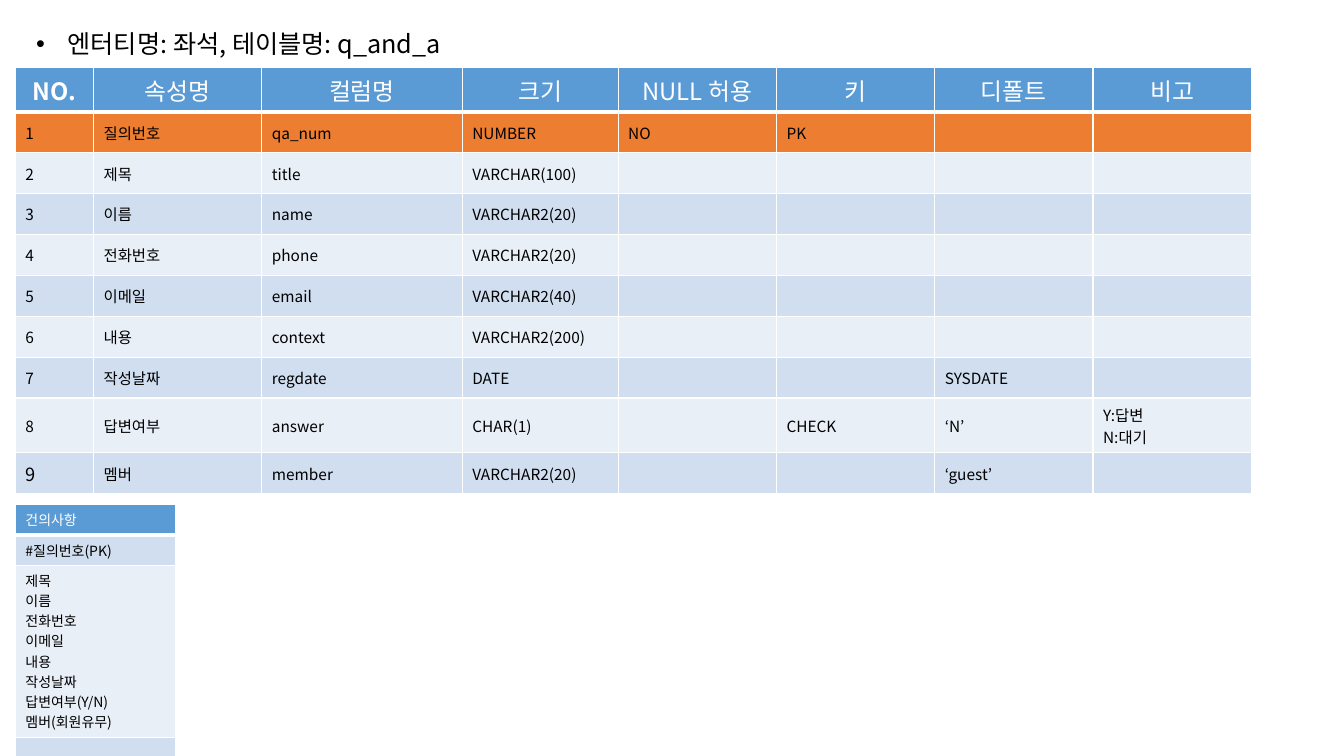
from dataclasses import dataclass

from lxml.etree import SubElement
from pptx import Presentation
from pptx.dml.color import RGBColor
from pptx.enum.text import MSO_ANCHOR, PP_ALIGN
from pptx.oxml import parse_xml
from pptx.oxml.ns import nsdecls, qn
from pptx.util import Pt


@dataclass(frozen=True)
class Theme:
    """Colours, font and type sizes of the slide."""
    font: str = "Noto Sans CJK KR"
    white: str = "FFFFFF"
    black: str = "000000"
    header: str = "5B9BD5"
    key: str = "ED7D31"
    band_dark: str = "D0DEEF"
    band_light: str = "E9EFF7"
    title_size: float = 18
    header_size: float = 17
    body_size: float = 11
    last_number_size: float = 13
    entity_size: float = 10
    spacer_size: float = 5


class EntitySlide:
    """Draws text and tables on one slide in one theme."""

    def __init__(self, slide, theme):
        """Keep the slide and the theme."""
        self.slide, self.theme = slide, theme

    def fill_text(self, frame, text, size, color, bold=False, align=PP_ALIGN.LEFT):
        """Fill a text frame, one paragraph for each line."""
        font_format = {"size": Pt(size), "bold": bold, "name": self.theme.font}
        frame.text = text
        for paragraph in frame.paragraphs:
            paragraph.alignment = align
            for run in paragraph.runs:
                for attribute, value in font_format.items():
                    setattr(run.font, attribute, value)
                run.font.color.rgb = RGBColor.from_string(color)
                SubElement(run.font._element, qn("a:ea"), typeface=self.theme.font)
            if not paragraph.runs:
                SubElement(paragraph._p, qn("a:endParaRPr"), sz=str(int(size * 100)))

    def bullet(self, text, left, top, width, height, indent):
        """Add a bulleted line with a hanging indent."""
        box = self.slide.shapes.add_textbox(Pt(left), Pt(top), Pt(width), Pt(height))
        box.text_frame.word_wrap = True
        self.fill_text(box.text_frame, text, self.theme.title_size, self.theme.black)
        properties = box.text_frame.paragraphs[0]._p.get_or_add_pPr()
        properties.set("marL", str(Pt(indent)))
        properties.set("indent", str(Pt(-indent)))
        SubElement(properties, qn("a:buFont"), typeface="Arial")
        SubElement(properties, qn("a:buChar"), char="•")

    def table(self, left, top, widths, heights):
        """Add an empty table and return it."""
        table = self.slide.shapes.add_table(
            len(heights), len(widths), Pt(left), Pt(top),
            Pt(sum(widths)), Pt(sum(heights))).table
        table.horz_banding = False
        for column, width in zip(table.columns, widths):
            column.width = Pt(width)
        for row, height in zip(table.rows, heights):
            row.height = Pt(height)
        return table

    def cell(self, table, row, column, text, fill, size, color,
             anchor=MSO_ANCHOR.TOP, **text_format):
        """Fill one table cell and rule it in white, heavier below the header."""
        cell = table.cell(row, column)
        cell.vertical_anchor = anchor
        cell.fill.solid()
        cell.fill.fore_color.rgb = RGBColor.from_string(fill)
        self.fill_text(cell.text_frame, text, size, color, **text_format)
        borders = {"L": 1, "R": 1, "T": 3 if row == 1 else 1, "B": 3 if row == 0 else 1}
        for position, (side, width) in enumerate(borders.items()):
            cell._tc.get_or_add_tcPr().insert(position, parse_xml(
                f'<a:ln{side} {nsdecls("a")} w="{Pt(width)}"><a:solidFill>'
                f'<a:srgbClr val="{self.theme.white}"/></a:solidFill></a:ln{side}>'))


HEADINGS = ["NO.", "속성명", "컬럼명", "크기", "NULL 허용", "키", "디폴트", "비고"]
ATTRIBUTES = [
    ("질의번호", "qa_num", "NUMBER", "NO", "PK", "", ""),
    ("제목", "title", "VARCHAR(100)", "", "", "", ""),
    ("이름", "name", "VARCHAR2(20)", "", "", "", ""),
    ("전화번호", "phone", "VARCHAR2(20)", "", "", "", ""),
    ("이메일", "email", "VARCHAR2(40)", "", "", "", ""),
    ("내용", "context", "VARCHAR2(200)", "", "", "", ""),
    ("작성날짜", "regdate", "DATE", "", "", "SYSDATE", ""),
    ("답변여부", "answer", "CHAR(1)", "", "CHECK", "‘N’", "Y:답변\nN:대기"),
    ("멤버", "member", "VARCHAR2(20)", "", "", "‘guest’", ""),
]
ENTITY_FIELDS = "제목\n이름\n전화번호\n이메일\n내용\n작성날짜\n답변여부(Y/N)\n멤버(회원유무)"


def draw_attributes(page):
    """Draw the table of columns of the entity."""
    theme = page.theme
    widths = [55.8, 120.2, 143.2, 111.4] + [113.1] * 4
    heights = [31.8] + [29.2] * 7 + [39.1, 29.2]
    table = page.table(11, 48.2, widths, heights)
    for column, heading in enumerate(HEADINGS):
        page.cell(table, 0, column, heading, theme.header, theme.header_size,
                  theme.white, bold=column == 0, align=PP_ALIGN.CENTER)
    for number, attribute in enumerate(ATTRIBUTES, 1):
        band = theme.band_dark if number % 2 else theme.band_light
        fill = theme.key if number == 1 else band
        for column, text in enumerate((str(number), *attribute)):
            last_number = column == 0 and number == len(ATTRIBUTES)
            size = theme.last_number_size if last_number else theme.body_size
            page.cell(table, number, column, text, fill, size, theme.black,
                      anchor=MSO_ANCHOR.MIDDLE)


def draw_entity(page):
    """Draw the entity box with its key and fields."""
    theme = page.theme
    sections = [
        ("건의사항", theme.header, theme.entity_size, theme.white, 21.7),
        ("#질의번호(PK)", theme.band_dark, theme.entity_size, theme.black, 21.7),
        (ENTITY_FIELDS, theme.band_light, theme.entity_size, theme.black, 123),
        ("", theme.band_dark, theme.spacer_size, theme.black, 12.8),
    ]
    table = page.table(11, 360.4, [114.4], [section[-1] for section in sections])
    for row, (text, fill, size, color, _) in enumerate(sections):
        page.cell(table, row, 0, text, fill, size, color)


def main():
    """Build and save the presentation."""
    presentation = Presentation()
    presentation.slide_width, presentation.slide_height = Pt(960), Pt(540)
    page = EntitySlide(presentation.slides.add_slide(presentation.slide_layouts[6]), Theme())
    draw_entity(page)
    page.bullet("엔터티명: 좌석, 테이블명: q_and_a", 18.7, 16.6, 414, 28.8, 22.5)
    draw_attributes(page)
    presentation.save("out.pptx")


main()
